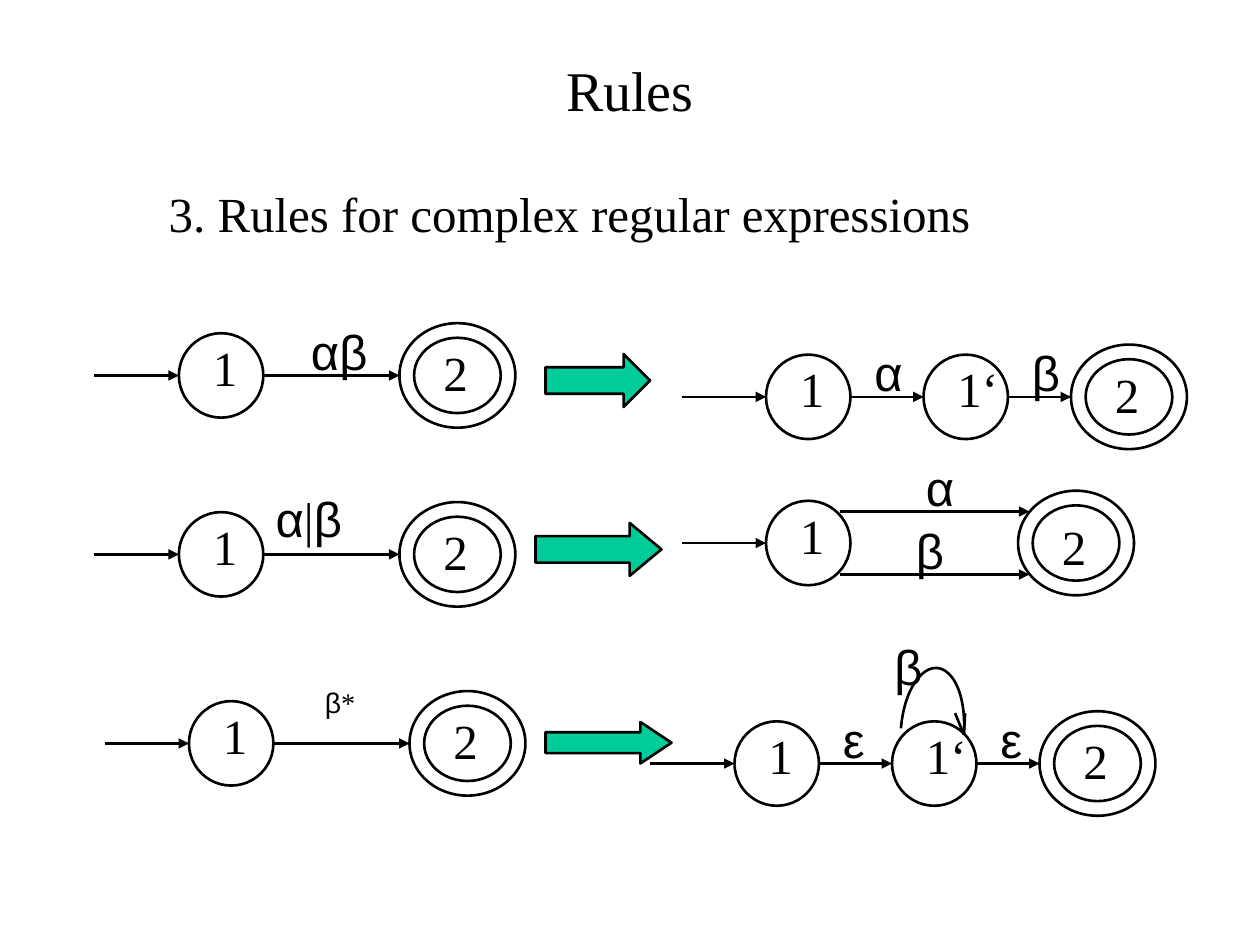
from itertools import groupby

from lxml.etree import SubElement
from pptx import Presentation
from pptx.dml.color import RGBColor
from pptx.enum.shapes import MSO_CONNECTOR, MSO_SHAPE
from pptx.enum.text import MSO_ANCHOR, MSO_AUTO_SIZE, PP_ALIGN
from pptx.oxml.ns import qn
from pptx.util import Inches, Pt

COLORS = {"ink": "000000", "arrow": "00CC99"}
LATIN_FONT, GREEK_FONT = "Times New Roman", "Arial"
LINE_HEIGHT = 0.57
STATE = 0.67
ACCEPT_WIDTH, ACCEPT_HEIGHT = 0.92, 0.83
ENTRY = 0.67


def is_greek(letter):
    return "α" <= letter <= "ω"


def add_text(page, text, left, top, width, height=LINE_HEIGHT, size=28,
             align=PP_ALIGN.LEFT, anchor=MSO_ANCHOR.TOP, wrap=False, baseline=0):
    """Add a text box in which Greek letters get their own font."""
    box = page.shapes.add_textbox(Inches(left), Inches(top), Inches(width), Inches(height))
    frame = box.text_frame
    frame.word_wrap = wrap
    frame.auto_size = MSO_AUTO_SIZE.NONE if wrap else MSO_AUTO_SIZE.SHAPE_TO_FIT_TEXT
    frame.vertical_anchor = anchor
    para = frame.paragraphs[0]
    para.alignment = align
    for greek, letters in groupby(text, is_greek):
        span = para.add_run()
        span.text = "".join(letters)
        span.font.name = GREEK_FONT if greek else LATIN_FONT
        span.font.size = Pt(size)
        span.font.color.rgb = RGBColor.from_string(COLORS["ink"])
        if baseline:
            span._r.get_or_add_rPr().set("baseline", str(baseline * 1000))


def set_line(shape):
    shape.line.color.rgb = RGBColor.from_string(COLORS["ink"])
    shape.line.width = Pt(1.5)


def add_outline(page, preset, left, top, width, height, fill=None):
    shape = page.shapes.add_shape(
        preset, Inches(left), Inches(top), Inches(width), Inches(height))
    shape.shadow.inherit = False
    if fill:
        shape.fill.solid()
        shape.fill.fore_color.rgb = RGBColor.from_string(COLORS[fill])
    else:
        shape.fill.background()
    set_line(shape)
    return shape


def add_line(page, start, end, head=True):
    line = page.shapes.add_connector(
        MSO_CONNECTOR.STRAIGHT, *(Inches(value) for value in (*start, *end)))
    set_line(line)
    if head:
        SubElement(line.line._get_or_add_ln(), qn("a:tailEnd"), type="triangle")
    SubElement(line._element.spPr, qn("a:effectLst"))


def add_transition(page, left, right, middle):
    add_line(page, (left, middle), (right, middle))


def add_state(page, name, left, middle):
    add_outline(page, MSO_SHAPE.OVAL, left, middle - STATE / 2, STATE, STATE)
    add_text(page, name, left + 0.17, middle - 0.35, 0.26 + 0.13 * len(name))


def add_start_state(page, left, middle):
    add_transition(page, left - ENTRY, left, middle)
    add_state(page, "1", left, middle)


def add_accept_state(page, left, middle, name_rise=0.31):
    ring = add_outline(page, MSO_SHAPE.DONUT, left, middle - ACCEPT_HEIGHT / 2,
                       ACCEPT_WIDTH, ACCEPT_HEIGHT)
    ring.adjustments[0] = 0.14
    add_text(page, "2", left + 0.25, middle - name_rise, 0.39)


def add_simple_automaton(page, left, middle):
    add_start_state(page, left, middle)
    add_transition(page, left + STATE, left + 1.75, middle)
    add_accept_state(page, left + 1.75, middle)


def add_chain_automaton(page, left, middle, labels):
    """Add states 1, 1‘ and 2 in a row, with a label over each transition."""
    inner, accept = left + 1.25, left + 2.42
    add_start_state(page, left, middle)
    add_state(page, "1‘", inner, middle)
    add_accept_state(page, accept, middle)
    for source, target, label in zip((left, inner), (inner, accept), labels):
        add_transition(page, source + STATE, target, middle)
        add_text(page, label, source + 0.76, middle - 0.48, 0.41)


def add_parallel_automaton(page, left, middle):
    add_start_state(page, left, middle)
    add_accept_state(page, left + 2, middle, name_rise=0.26)
    for offset in (-0.25, 0.25):
        add_transition(page, left + 0.59, left + 2.09, middle + offset)
    add_text(page, "α", left + 1.17, middle - 0.73, 0.44)
    add_text(page, "β", left + 1.09, middle - 0.23, 0.41)


def add_loop(page):
    """Add the half-ellipse over state 1‘ with its open arrowhead."""
    arc = add_outline(page, MSO_SHAPE.ARC, 7.15, 5.3, 0.5, 1)
    arc.adjustments[0], arc.adjustments[1] = 108, 0  # 180 to 0 degrees
    arc.rotation = 4.3
    for barb in ((7.66, 5.66), (7.65, 5.75), (7.58, 5.66)):
        add_line(page, (7.65, 5.83), barb, head=False)
    add_text(page, "β", 7, 5, 0.41)


def add_rewrite_arrow(page, left, top, width, height, head):
    arrow = add_outline(page, MSO_SHAPE.RIGHT_ARROW, left, top, width, height, fill="arrow")
    arrow.adjustments[1] = head


def main():
    deck = Presentation()
    deck.slide_width, deck.slide_height = Inches(10), Inches(7.5)
    page = deck.slides.add_slide(deck.slide_layouts[6])

    add_text(page, "Rules", 0.75, 0.17, 8.5, 1.08, size=32, wrap=True,
             align=PP_ALIGN.CENTER, anchor=MSO_ANCHOR.MIDDLE)
    add_text(page, "3. Rules for complex regular expressions", 1.24, 1.41, 6.56)

    for left, middle in ((1.42, 2.98), (1.42, 4.4), (1.5, 5.9)):
        add_simple_automaton(page, left, middle)
    add_text(page, "αβ", 2.37, 2.5, 0.66)
    add_text(page, "α|β", 2.09, 3.83, 0.73)
    add_text(page, "β*", 2.48, 5.34, 0.53, baseline=30)

    add_rewrite_arrow(page, 4.33, 2.81, 0.83, 0.42, head=0.5)
    add_rewrite_arrow(page, 4.25, 4.15, 1, 0.42, head=0.6)
    add_rewrite_arrow(page, 4.33, 5.73, 1, 0.33, head=0.75)

    add_chain_automaton(page, 6.08, 3.15, "αβ")
    add_parallel_automaton(page, 6.08, 4.31)
    add_chain_automaton(page, 5.83, 6.06, "εε")
    add_loop(page)

    deck.save("out.pptx")


if __name__ == "__main__":
    main()
